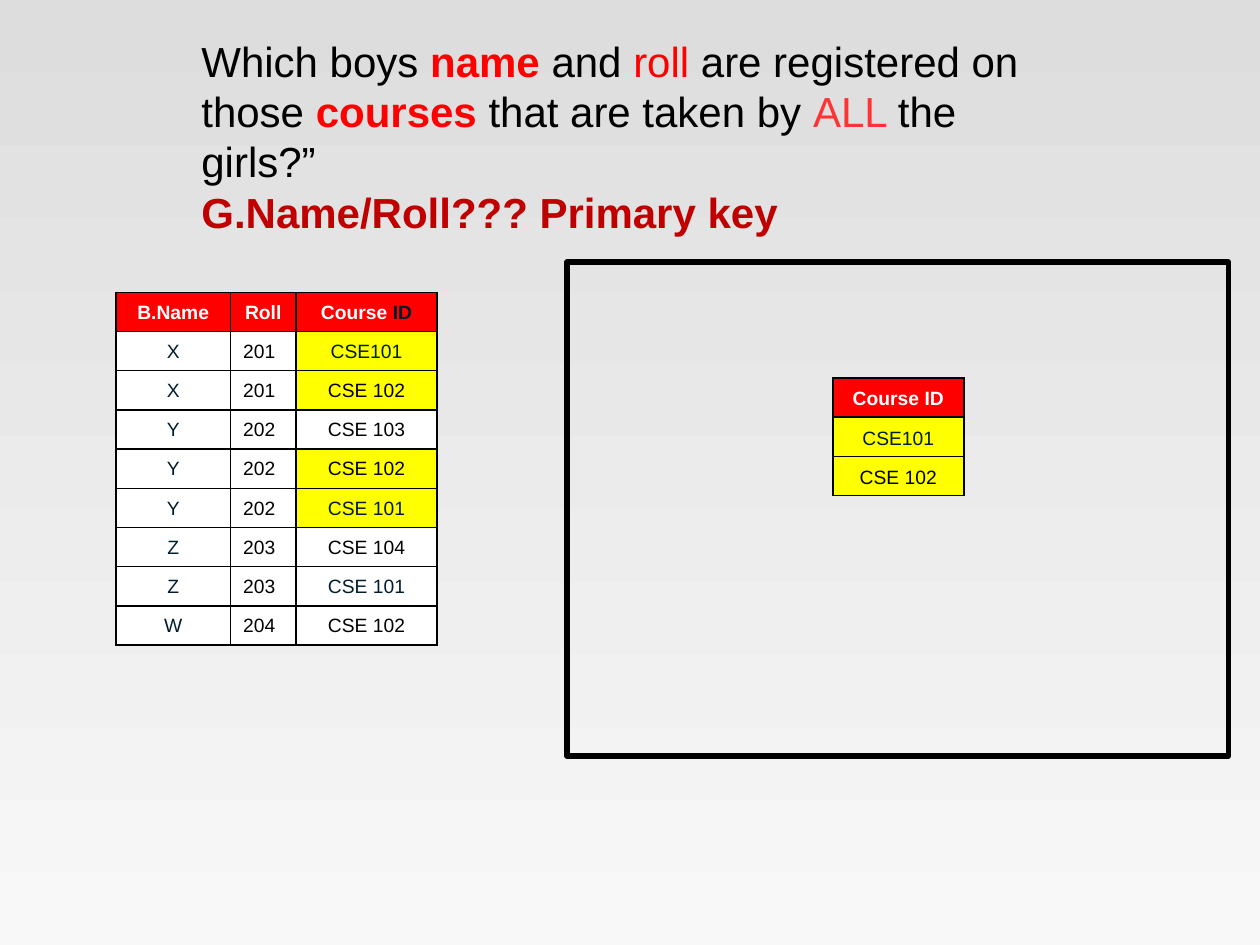
from dataclasses import dataclass

from lxml import etree
from pptx import Presentation
from pptx.dml.color import RGBColor
from pptx.enum import shapes, text
from pptx.oxml.ns import qn
from pptx.util import Inches, Pt


@dataclass(frozen=True)
class Theme:
    font: str = "Arial"
    question_size: int = 24
    table_size: int = 11
    line_spacing: float = 1.15
    black: str = "000000"
    white: str = "FFFFFF"
    ink: str = "001D2E"
    red: str = "FF0000"
    light_red: str = "FF3333"
    dark_red: str = "C00000"
    yellow: str = "FFFF00"
    backdrop: tuple[str, str] = ("DDDDDD", "F8F8F8")


THEME = Theme()


@dataclass(frozen=True)
class Span:
    text: str
    color: str = THEME.black
    bold: bool = False


@dataclass(frozen=True)
class Cell:
    spans: tuple[Span, ...]
    fill: str = THEME.white
    centered: bool = True


@dataclass(frozen=True)
class Grid:
    left: float
    top: float
    columns: tuple[float, ...]
    rows: list[list[Cell]]
    anchor: text.MSO_ANCHOR
    row_height: float = 0.31


def header(label: str, tail: str = "") -> Cell:
    spans = [Span(label, THEME.white, True)]
    if tail:
        spans.append(Span(tail, THEME.ink, True))
    return Cell(tuple(spans), THEME.red)


def course(label: str, taken_by_all: bool) -> Cell:
    color = THEME.ink if label.endswith("101") else THEME.black
    return Cell((Span(label, color),), THEME.yellow if taken_by_all else THEME.white)


def registration(name: str, roll: str, course_id: str, taken_by_all: bool) -> list[Cell]:
    return [
        Cell((Span(name, THEME.ink),)),
        Cell((Span(roll),), centered=False),
        course(course_id, taken_by_all),
    ]


QUESTION = [
    (
        Span("Which boys "),
        Span("name", THEME.red, True),
        Span(" and"),
        Span(" roll ", THEME.red),
        Span("are registered on those "),
        Span("courses", THEME.red, True),
        Span(" that are taken by "),
        Span("ALL ", THEME.light_red),
        Span("the girls?”"),
    ),
    (Span("G.Name/Roll??? Primary key", THEME.dark_red, True),),
]

BOYS = Grid(
    0.92, 2.32, (0.91, 0.52, 1.12),
    [
        [header("B.Name"), header("Roll"), header("Course", " ID")],
        registration("X", "201", "CSE101", True),
        registration("X", "201", "CSE 102", True),
        registration("Y", "202", "CSE 103", False),
        registration("Y", "202", "CSE 102", True),
        registration("Y", "202", "CSE 101", True),
        registration("Z", "203", "CSE 104", False),
        registration("Z", "203", "CSE 101", False),
        registration("W", "204", "CSE 102", False),
    ],
    text.MSO_ANCHOR.TOP,
)

GIRLS_COURSES = Grid(
    6.61, 3, (1.04,),
    [[header("Course ID")], [course("CSE101", True)], [course("CSE 102", True)]],
    text.MSO_ANCHOR.MIDDLE,
)


def write_spans(paragraph, spans: tuple[Span, ...], size: int) -> None:
    paragraph.font.name = THEME.font
    paragraph.font.size = Pt(size)
    for span in spans:
        run = paragraph.add_run()
        run.text = span.text
        run.font.bold = span.bold
        run.font.color.rgb = RGBColor.from_string(span.color)


def add_borders(cell) -> None:
    properties = cell._tc.get_or_add_tcPr()
    for position, edge in enumerate(("a:lnL", "a:lnR", "a:lnT", "a:lnB")):
        line = etree.Element(qn(edge), w=str(Pt(1)))
        fill = etree.SubElement(line, qn("a:solidFill"))
        etree.SubElement(fill, qn("a:srgbClr"), val=THEME.black)
        properties.insert(position, line)


def add_grid(slide, grid: Grid) -> None:
    table = slide.shapes.add_table(
        len(grid.rows), len(grid.columns), Inches(grid.left), Inches(grid.top),
        Inches(sum(grid.columns)), Inches(grid.row_height * len(grid.rows)),
    ).table
    for column, width in zip(table.columns, grid.columns):
        column.width = Inches(width)
    for row, contents in zip(table.rows, grid.rows):
        row.height = Inches(grid.row_height)
        for cell, content in zip(row.cells, contents):
            cell.fill.solid()
            cell.fill.fore_color.rgb = RGBColor.from_string(content.fill)
            cell.vertical_anchor = grid.anchor
            add_borders(cell)
            paragraph = cell.text_frame.paragraphs[0]
            paragraph.line_spacing = THEME.line_spacing
            paragraph.alignment = (
                text.PP_ALIGN.CENTER if content.centered else text.PP_ALIGN.LEFT
            )
            write_spans(paragraph, content.spans, THEME.table_size)


def add_question(slide) -> None:
    frame = slide.shapes.add_textbox(
        Inches(1.5), Inches(0.23), Inches(7.08), Inches(1.72)
    ).text_frame
    frame.word_wrap = True
    for index, spans in enumerate(QUESTION):
        paragraph = frame.add_paragraph() if index else frame.paragraphs[0]
        write_spans(paragraph, spans, THEME.question_size)


def add_frame(slide) -> None:
    frame = slide.shapes.add_shape(
        shapes.MSO_SHAPE.RECTANGLE,
        Inches(4.5), Inches(2.08), Inches(5.25), Inches(3.92),
    )
    frame.shadow.inherit = False
    frame.fill.background()
    frame.line.color.rgb = RGBColor.from_string(THEME.black)
    frame.line.width = Pt(3)


def paint_background(slide) -> None:
    fill = slide.background.fill
    fill.gradient()
    fill.gradient_angle = 270
    for stop, color, position in zip(fill.gradient_stops, THEME.backdrop, (0, 1)):
        stop.color.rgb = RGBColor.from_string(color)
        stop.position = position


def main() -> None:
    deck = Presentation()
    deck.slide_width, deck.slide_height = Inches(10), Inches(7.5)
    slide = deck.slides.add_slide(deck.slide_layouts[6])
    paint_background(slide)
    add_question(slide)
    add_grid(slide, BOYS)
    add_frame(slide)
    add_grid(slide, GIRLS_COURSES)
    deck.save("out.pptx")


if __name__ == "__main__":
    main()
